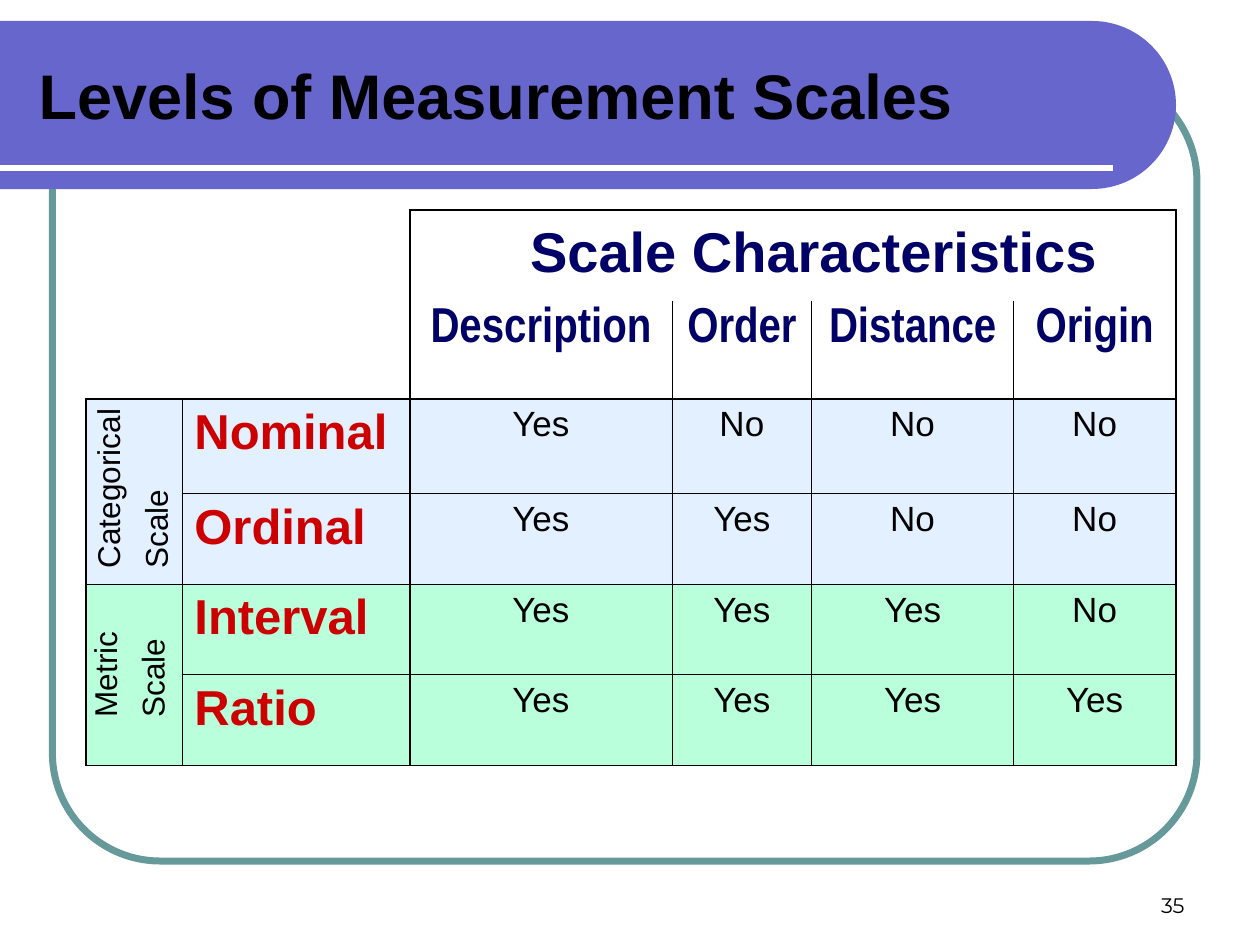
import math

import pptx
import pptx.dml.color
import pptx.enum.shapes
import pptx.enum.text
import pptx.oxml.ns
import pptx.util
from lxml import etree

# The slide is a grid of 120 columns by 90 rows, each 1/12 inch
COLUMNS, ROWS = 120, 90
BLACK, NAVY, RED, WHITE = "000000", "000066", "CC0000", "FFFFFF"
THICK, THIN = 1.08, 0.45
ALIGN = pptx.enum.text.PP_ALIGN
ANCHOR = pptx.enum.text.MSO_ANCHOR
NO_STYLE = "{2D5ABB26-0587-4C30-8999-92F81FD0307C}"

COLUMN_WIDTHS = [0.76, 1.81, 2.08, 1.11, 1.6, 1.29]
ROW_HEIGHTS = [0.72, 0.78, 0.75, 0.72, 0.72, 0.72]
HEADINGS = ["Description", "Order", "Distance", "Origin"]
SCALES = [
    ["Nominal", "Yes", "No", "No", "No"],
    ["Ordinal", "Yes", "Yes", "No", "No"],
    ["Interval", "Yes", "Yes", "Yes", "No"],
    ["Ratio", "Yes", "Yes", "Yes", "Yes"],
]


def grid(units):
    return pptx.util.Emu(round(units * pptx.util.Inches(1) / 12))


def place(*units):
    return [grid(unit) for unit in units]


def color(value):
    return pptx.dml.color.RGBColor.from_string(value)


def add_element(parent, tag, **attributes):
    return etree.SubElement(parent, pptx.oxml.ns.qn(tag), **attributes)


def style_paragraph(para, size, ink, bold=False, font="Arial", align=ALIGN.LEFT):
    para.alignment = align
    for span in para.runs:
        span.font.size = pptx.util.Pt(size)
        span.font.name = font
        span.font.bold = bold
        span.font.color.rgb = color(ink)


def add_text(page, area, text, size, ink, anchor=ANCHOR.TOP, **style):
    box = page.shapes.add_textbox(*place(*area))
    frame = box.text_frame
    frame.word_wrap = True
    frame.vertical_anchor = anchor
    frame.text = text
    for para in frame.paragraphs:
        style_paragraph(para, size, ink, **style)
    return box


def add_side_label(page, area, text):
    box = add_text(page, area, text, 18, BLACK)
    box.rotation = 270
    first, second = box.text_frame.paragraphs
    first.line_spacing = second.line_spacing = pptx.util.Pt(16)
    second.space_before = pptx.util.Pt(11.2)


def add_frame(page):
    frame = page.shapes.add_shape(
        pptx.enum.shapes.MSO_SHAPE.ROUNDED_RECTANGLE, *place(5, 7, 109, 75))
    frame.adjustments[0] = 0.137
    frame.shadow.inherit = False
    frame.fill.background()
    frame.line.color.rgb = color("669999")
    frame.line.width = pptx.util.Pt(4)


def add_band(page):
    # Left end square, right end a half circle
    radius, center_x, center_y = 8, 104, 10
    angles = [math.radians(degree) for degree in range(-90, 91, 3)]
    points = [(grid(center_x + radius * math.cos(angle)),
               grid(center_y + radius * math.sin(angle))) for angle in angles]
    points.append((0, grid(center_y + radius)))
    builder = page.shapes.build_freeform(0, grid(center_y - radius))
    builder.add_line_segments(points, close=True)
    band = builder.convert_to_shape()
    band.shadow.inherit = False
    band.fill.solid()
    band.fill.fore_color.rgb = color("6666CC")
    band.line.fill.background()


def add_rule(page):
    rule = page.shapes.add_connector(
        pptx.enum.shapes.MSO_CONNECTOR.STRAIGHT, *place(0, 16, 106, 16))
    rule.line.color.rgb = color(WHITE)
    rule.line.width = pptx.util.Pt(3)
    add_element(rule._element.spPr, "a:effectLst")


def horizontal_line(edge, column):
    if edge == 0:
        return THICK if column >= 2 else None
    if edge in (2, 6):
        return THICK
    if edge == 4:
        return THIN
    return THIN if edge in (3, 5) and column >= 1 else None


def vertical_line(edge, row):
    if edge in (2, 6):
        return THICK
    if edge == 0:
        return THICK if row >= 2 else None
    return THIN if row >= (2 if edge == 1 else 1) else None


def draw_borders(cell, row, column):
    properties = cell._tc.get_or_add_tcPr()
    widths = {
        "a:lnL": vertical_line(column, row),
        "a:lnR": vertical_line(column + 1, row),
        "a:lnT": horizontal_line(row, column),
        "a:lnB": horizontal_line(row + 1, column),
    }
    for index, (tag, width) in enumerate(widths.items()):
        line = add_element(properties, tag, w=str(pptx.util.Pt(width or 0)))
        if width:
            fill = add_element(line, "a:solidFill")
            add_element(fill, "a:srgbClr", val=BLACK)
        else:
            add_element(line, "a:noFill")
        properties.insert(index, line)


def fill_cell(cell, row):
    if row < 2:
        cell.fill.background()
        return
    tint, opacity = ("99CCFF", 28) if row < 4 else ("99FFCC", 67)
    cell.fill.solid()
    cell.fill.fore_color.rgb = color(tint)
    shade = cell._tc.tcPr.find(".//" + pptx.oxml.ns.qn("a:srgbClr"))
    add_element(shade, "a:alpha", val=str(opacity * 1000))


def write_cell(cell, row, column, text):
    cell.text = text
    para = cell.text_frame.paragraphs[0]
    if row == 1:
        style_paragraph(para, 28, NAVY, True, "Arial Narrow", ALIGN.CENTER)
    elif column == 1:
        style_paragraph(para, 28, RED, True)
    else:
        style_paragraph(para, 20, BLACK, align=ALIGN.CENTER)


def add_scale_table(page):
    contents = [[""] * 6, ["", ""] + HEADINGS] + [[""] + scale for scale in SCALES]
    area = place(8.2, 20, sum(COLUMN_WIDTHS) * 12, sum(ROW_HEIGHTS) * 12)
    table = page.shapes.add_table(len(contents), len(COLUMN_WIDTHS), *area).table
    table.first_row = table.horz_banding = False
    table._tbl.tblPr.find(pptx.oxml.ns.qn("a:tableStyleId")).text = NO_STYLE
    for column, width in zip(table.columns, COLUMN_WIDTHS):
        column.width = pptx.util.Inches(width)
    for line, height in zip(table.rows, ROW_HEIGHTS):
        line.height = pptx.util.Inches(height)
    for row, texts in enumerate(contents):
        for column, text in enumerate(texts):
            cell = table.cell(row, column)
            fill_cell(cell, row)
            draw_borders(cell, row, column)
            if text:
                write_cell(cell, row, column, text)


def main():
    deck = pptx.Presentation()
    deck.slide_width, deck.slide_height = place(COLUMNS, ROWS)
    page = deck.slides.add_slide(deck.slide_layouts[6])

    # Background decoration
    add_frame(page)
    add_band(page)
    add_rule(page)

    # Page number and title
    add_text(page, (86, 82, 28, 6), "35", 12, BLACK, ANCHOR.BOTTOM,
             font="Montserrat", align=ALIGN.RIGHT)
    add_text(page, (2.5, 3, 105.25, 12), "Levels of Measurement Scales", 36, BLACK,
             ANCHOR.MIDDLE, bold=True)

    # Table with its heading and side labels
    add_scale_table(page)
    add_text(page, (46, 20, 63, 7.7), "Scale Characteristics", 32, NAVY,
             ANCHOR.MIDDLE, bold=True, align=ALIGN.CENTER)
    add_side_label(page, (6.2, 58.8, 13, 8.4), "Metric\nScale")
    add_side_label(page, (3.5, 41.6, 19, 8.4), "Categorical\nScale")

    deck.save("out.pptx")


if __name__ == "__main__":
    main()
